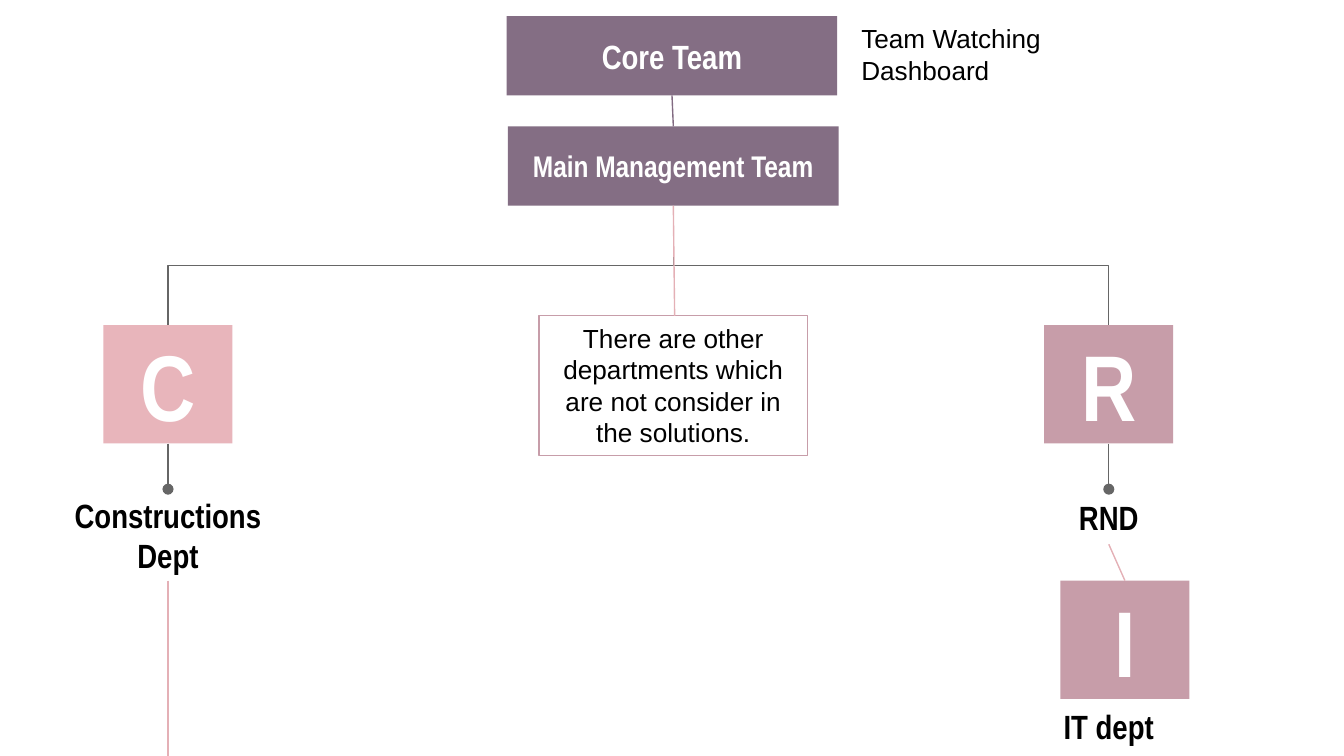
from lxml import etree
from pptx import Presentation
from pptx.dml.color import RGBColor
from pptx.enum.shapes import MSO_CONNECTOR, MSO_SHAPE
from pptx.enum.text import MSO_ANCHOR, PP_ALIGN
from pptx.oxml.ns import qn
from pptx.util import Inches, Pt

RECT = MSO_SHAPE.RECTANGLE
STRAIGHT, ELBOW = MSO_CONNECTOR.STRAIGHT, MSO_CONNECTOR.ELBOW
LEFT, CENTER = PP_ALIGN.LEFT, PP_ALIGN.CENTER
TOP, MIDDLE = MSO_ANCHOR.TOP, MSO_ANCHOR.MIDDLE

COLORS = {
    "plum": "846E84", "pink": "E8B5BB", "mauve": "C79DA9", "rose": "E4B0B6",
    "violet": "826B82", "gray": "666666", "white": "FFFFFF", "black": "000000",
}
WIDTH = 10
HEIGHT = WIDTH * 9 / 16
CORE_X, MAIN_X, BUILD_X, RESEARCH_X, IT_X = 5, 5.01, 1.25, 8.25, 8.37
TEAM_W, TEAM_H = 2.46, 0.59
TILE_W, TILE_H = 0.96, 0.88
CORE_Y, MAIN_Y, TILE_Y, LABEL_Y, IT_Y = 0.12, 0.94, 2.42, 3.64, 4.32
MAIN_END, TILE_END, LABEL_H = MAIN_Y + TEAM_H, TILE_Y + TILE_H, 0.41

TEAMS = [
    ("Core Team", CORE_X, CORE_Y, 18),
    ("Main Management Team", MAIN_X, MAIN_Y, 16),
]
TILES = [
    ("C", BUILD_X, TILE_Y, "pink"),
    ("R", RESEARCH_X, TILE_Y, "mauve"),
    ("I", IT_X, IT_Y, "mauve"),
]
LABELS = [
    ("Constructions\nDept", BUILD_X, LABEL_Y, 1.71, 0.68),
    ("RND", RESEARCH_X, LABEL_Y, 1.5, LABEL_H),
    ("IT dept", RESEARCH_X, IT_Y + TILE_H, 1.5, LABEL_H),
]
WATCHERS = "Team Watching Dashboard"
OTHERS = "There are other departments which are not consider in the solutions."
LINKS = [
    (CORE_X, CORE_Y + TEAM_H, MAIN_X, MAIN_Y, "violet", False),
    (MAIN_X, MAIN_END, 5.02, 2.35, "rose", False),
    (BUILD_X, TILE_END, BUILD_X, LABEL_Y, "gray", True),
    (RESEARCH_X, TILE_END, RESEARCH_X, LABEL_Y, "gray", True),
    (BUILD_X, LABEL_Y + 0.68, BUILD_X, HEIGHT, "rose", False),
    (RESEARCH_X, LABEL_Y + LABEL_H, IT_X, IT_Y, "rose", False),
]

deck = Presentation()
deck.slide_width, deck.slide_height = Inches(WIDTH), Inches(HEIGHT)
slide = deck.slides.add_slide(deck.slide_layouts[6])


def color(name):
    return RGBColor.from_string(COLORS[name])


def write(shape, text, size=18, font="Arial Narrow", ink="black", bold=True,
          align=CENTER, anchor=MIDDLE, inset=0.1):
    frame = shape.text_frame
    frame.word_wrap = True
    frame.vertical_anchor = anchor
    frame.margin_left = frame.margin_right = Inches(0.1)
    frame.margin_top = frame.margin_bottom = Inches(inset)
    frame.text = text
    for paragraph in frame.paragraphs:
        paragraph.alignment = align
        for run in paragraph.runs:
            run.font.size, run.font.name, run.font.bold = Pt(size), font, bold
            run.font.color.rgb = color(ink)


def box(center, top, width, height, fill=None, outline=None):
    shape = slide.shapes.add_shape(
        RECT, Inches(center - width / 2), Inches(top), Inches(width), Inches(height))
    shape.shadow.inherit = False
    if fill:
        shape.fill.solid()
        shape.fill.fore_color.rgb = color(fill)
    else:
        shape.fill.background()
    if outline:
        shape.line.color.rgb = color(outline)
        shape.line.width = Pt(0.75)
    else:
        shape.line.fill.background()
    return shape


def textbox(center, top, width, height):
    return slide.shapes.add_textbox(
        Inches(center - width / 2), Inches(top), Inches(width), Inches(height))


def link(x1, y1, x2, y2, ink, dot=False, kind=STRAIGHT):
    line = slide.shapes.add_connector(kind, Inches(x1), Inches(y1), Inches(x2), Inches(y2))
    line.line.color.rgb = color(ink)
    line.line.width = Pt(0.75)
    properties = line._element.spPr
    if dot:
        etree.SubElement(properties.find(qn("a:ln")), qn("a:tailEnd"), type="oval")
    etree.SubElement(properties, qn("a:effectLst"))
    return line


def branch(x1, y1, x2, y2, ink):
    middle_x, middle_y = (x1 + x2) / 2, (y1 + y2) / 2
    side = 1 if x2 > x1 else -1
    half_w, half_h = side * (y2 - y1) / 2, abs(x2 - x1) / 2
    line = link(middle_x + half_w, middle_y - half_h,
                middle_x - half_w, middle_y + half_h, ink, kind=ELBOW)
    degrees = 270 if side > 0 else 90
    line._element.spPr.find(qn("a:xfrm")).set("rot", str(degrees * 60000))


for name, center, top, size in TEAMS:
    write(box(center, top, TEAM_W, TEAM_H, fill="plum"), name, size=size, ink="white")
for letter, center, top, fill in TILES:
    write(box(center, top, TILE_W, TILE_H, fill=fill), letter, size=50, ink="white")
for name, center, top, width, height in LABELS:
    write(textbox(center, top, width, height), name)

note = dict(size=14, font="Arial", bold=False, anchor=TOP, inset=0.05)
write(textbox(7.25, CORE_Y, 1.88, 0.57), WATCHERS, align=LEFT, **note)
write(box(MAIN_X, 2.35, 2, 1.04, outline="mauve"), OTHERS, **note)

for department_x in (BUILD_X, RESEARCH_X):
    branch(MAIN_X, MAIN_END, department_x, TILE_Y, "gray")
for x1, y1, x2, y2, ink, dot in LINKS:
    link(x1, y1, x2, y2, ink, dot=dot)

deck.save("out.pptx")
